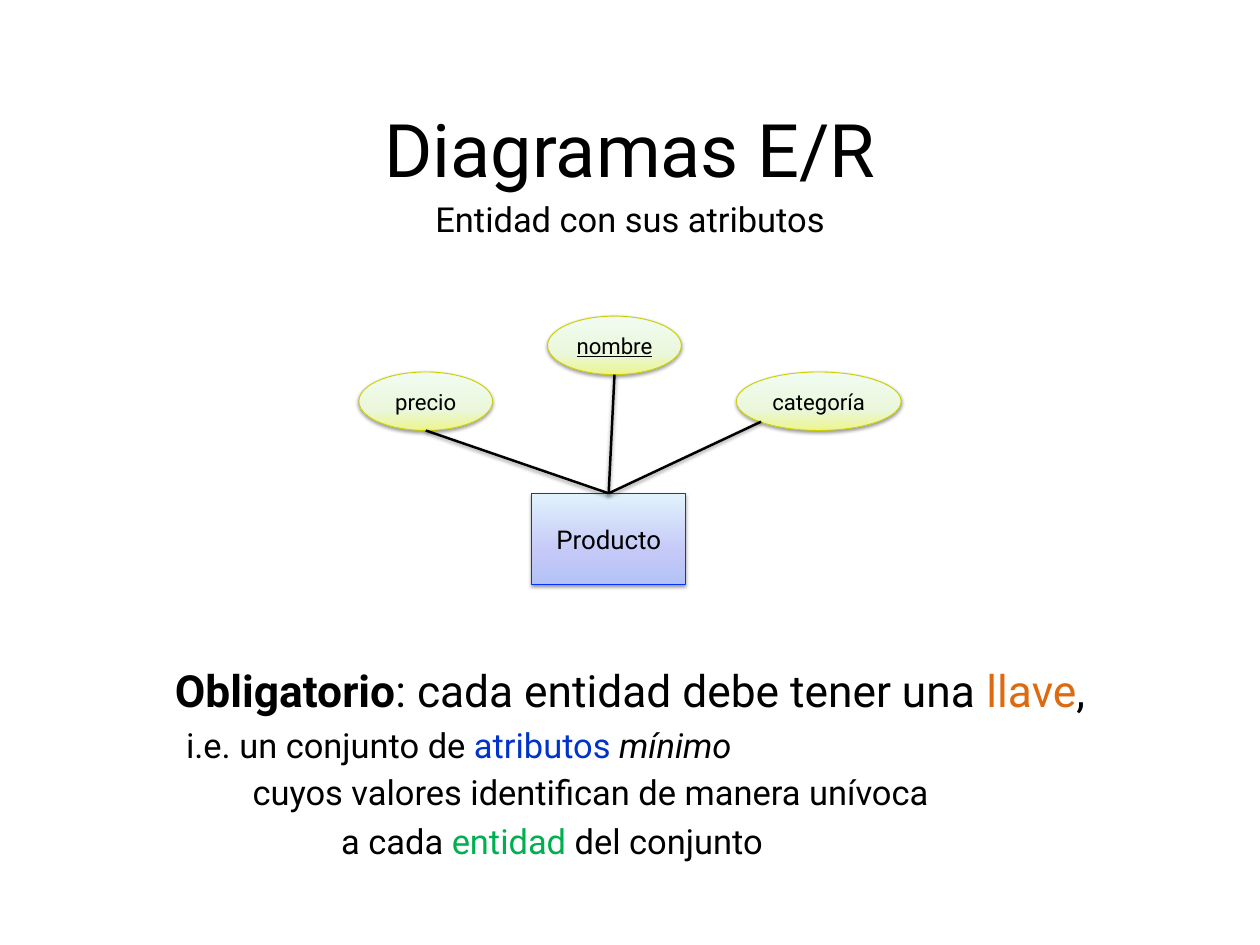
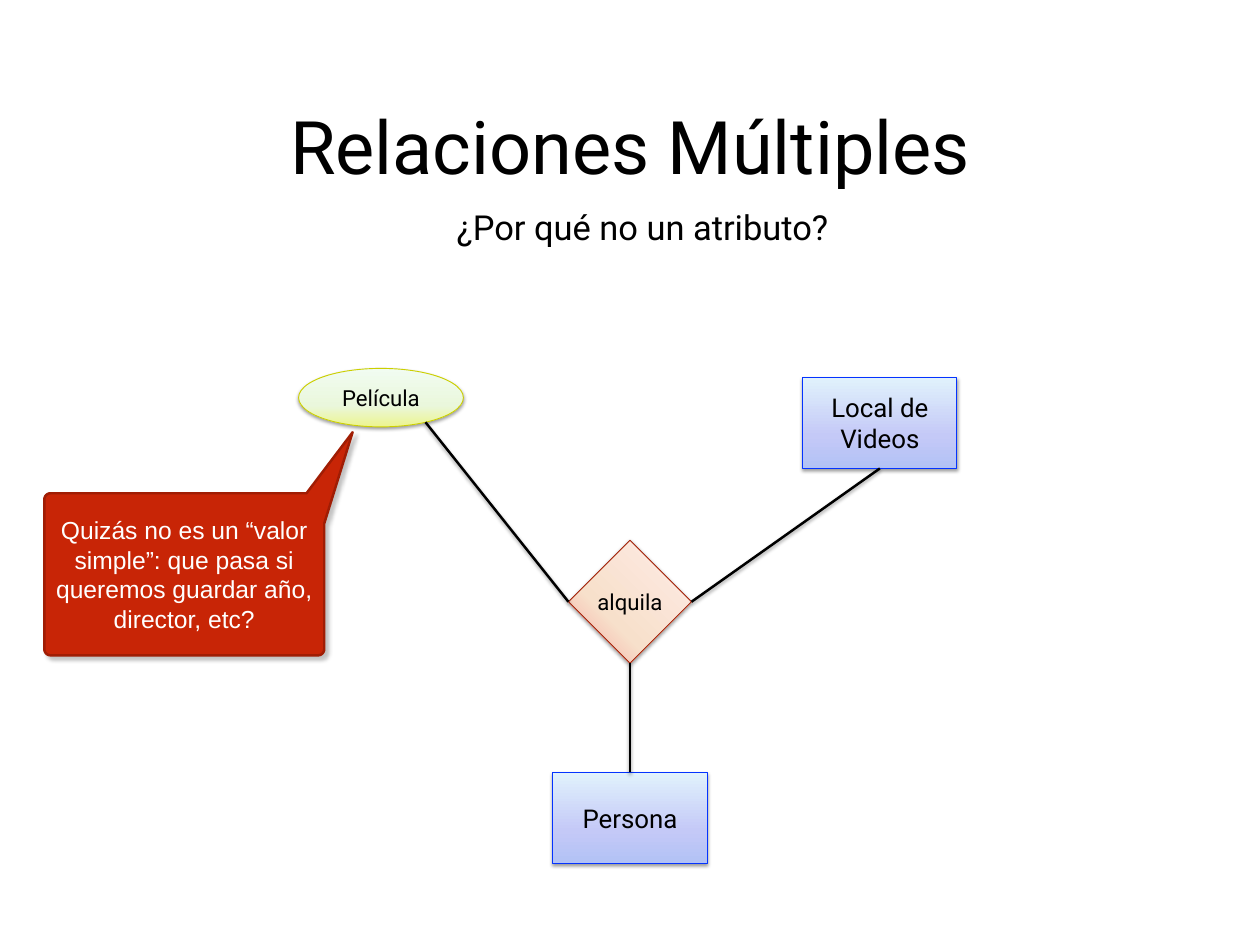
"""Build two slides on entity-relationship diagrams."""
import copy
import math

import pptx
import pptx.dml.color
import pptx.enum.shapes
import pptx.enum.text
import pptx.oxml
import pptx.oxml.ns
import pptx.util

SHAPES = pptx.enum.shapes.MSO_SHAPE
ALIGN = pptx.enum.text.PP_ALIGN


class Theme:
    font, callout_font = "Roboto", "Arial"
    black, white = "000000", "FFFFFF"
    orange, blue, green = "DE6A10", "0033CC", "00B050"
    callout_fill, callout_line = "C82506", "A01D04"
    title, lead, body, entity, callout, label = 60, 36, 28, 21, 20, 18
    inset = 0.06
    thin, thick = 0.75, 2
    soft_shadow = {"opacity": 38, "blur": 3, "distance": 1.6, "angle": 90}
    callout_shadow = {"opacity": 24, "blur": 3, "distance": 3.3, "angle": 44}
    kinds = {
        "entity": {"preset": SHAPES.RECTANGLE, "height": 9.65, "size": entity,
                   "line": "0433FF", "angle": 90,
                   "stops": [(0, "B2C2F5"), (0.36, "C4C9F7"), (1, "E1F2FC")]},
        "attribute": {"preset": SHAPES.OVAL, "height": 6.19, "size": label,
                      "line": "CCCF00", "angle": 90,
                      "stops": [(0, "ECF58E"), (0.36, "EAF7DC"), (1, "F1FCF1")]},
        "relation": {"preset": SHAPES.DIAMOND, "height": 13.03, "size": label,
                     "line": "A01D04", "angle": 45,
                     "stops": [(0, "F5A09A"), (0.35, "F7E0CB"), (1, "FFEBE7")]},
    }


def write(shape, paragraphs, base, insets=(0, 0, 0, 0), wrap=True):
    """Fill a shape with (paragraph format, runs) pairs, each run over the base font."""
    frame = shape.text_frame
    frame.word_wrap = wrap
    frame.vertical_anchor = pptx.enum.text.MSO_ANCHOR.MIDDLE
    for side, inset in zip(("left", "top", "right", "bottom"), insets):
        setattr(frame, f"margin_{side}", pptx.util.Inches(inset))
    for index, (layout, runs) in enumerate(paragraphs):
        paragraph = frame.add_paragraph() if index else frame.paragraphs[0]
        paragraph.alignment = layout.get("align", ALIGN.CENTER)
        if "space" in layout:
            paragraph.space_before = pptx.util.Pt(layout["space"])
        if "indent" in layout:
            properties = paragraph._p.get_or_add_pPr()
            properties.set("marL", str(pptx.util.Inches(layout["indent"])))
            properties.set("indent", "0")
        for text, changes in runs:
            run = paragraph.add_run()
            run.text = text
            values = {"name": Theme.font, "color": Theme.black, **base, **changes}
            run.font.color.rgb = pptx.dml.color.RGBColor.from_string(values.pop("color"))
            values["size"] = pptx.util.Pt(values["size"])
            for name, value in values.items():
                setattr(run.font, name, value)


def outline(shape, color, width, shadow):
    """Draw the line of a shape or connector and the shadow below it."""
    shape.line.color.rgb = pptx.dml.color.RGBColor.from_string(color)
    shape.line.width = pptx.util.Pt(width)
    shape.element.spPr.append(pptx.oxml.parse_xml(
        f'<a:effectLst {pptx.oxml.ns.nsdecls("a")}>'
        f'<a:outerShdw blurRad="{pptx.util.Pt(shadow["blur"])}" '
        f'dist="{pptx.util.Pt(shadow["distance"])}" '
        f'dir="{shadow["angle"] * 60000}" algn="b" rotWithShape="0">'
        f'<a:srgbClr val="{Theme.black}"><a:alpha val="{shadow["opacity"] * 1000}"/>'
        '</a:srgbClr></a:outerShdw></a:effectLst>'))


presentation = pptx.Presentation()
presentation.slide_width = pptx.util.Inches(14.22)
presentation.slide_height = pptx.util.Inches(10.67)
column = presentation.slide_width / 100
row = presentation.slide_height / 100

# fmt: off
pages = [
    {
        "headings": [("Diagramas E/R", Theme.title, 50, 10.5, 40.3, 10.22),
                     ("Entidad con sus atributos", Theme.body, 50, 20.43, 42.05, 5.34)],
        "nodes": [("Producto", "entity", 48.31, 57.03, 12.24),
                  ("nombre", "attribute", 48.77, 36.55, 10.62),
                  ("precio", "attribute", 33.79, 42.46, 10.62),
                  ("categoría", "attribute", 64.98, 42.46, 13.08)],
        "links": [("Producto", 0, "precio", (0.5, 1)),
                  ("Producto", 0, "nombre", (0.5, 1)),
                  ("Producto", 0, "categoría", (0.15, 0.85))],
    },
    {
        "headings": [("Relaciones Múltiples", Theme.title, 50, 10.22, 69.9, 10.22),
                     ("¿Por qué no un atributo?", Theme.body, 50.98, 21.28, 46.13, 5.34)],
        "nodes": [("alquila", "relation", 50, 63.68, 9.77),
                  ("Local de Videos", "entity", 69.83, 44.75, 12.24),
                  ("Persona", "entity", 50, 86.55, 12.24),
                  ("Película", "attribute", 30.24, 42.08, 13.08)],
        "links": [("alquila", 1, "Película", (0.77, 0.92)),
                  ("alquila", 3, "Local de Videos", 2),
                  ("alquila", 2, "Persona", 0)],
    },
]
# fmt: on

slides = []
for page in pages:
    slide = presentation.slides.add_slide(presentation.slide_layouts[6])
    slides.append(slide)
    for text, size, center, top, width, height in page["headings"]:
        box = slide.shapes.add_textbox(
            round((center - width / 2) * column), round(top * row),
            round(width * column), round(height * row))
        write(box, [({}, [(text, {})])], {"size": size}, (Theme.inset,) * 4)

    nodes = {}
    for text, kind, center, middle, width in page["nodes"]:
        style = Theme.kinds[kind]
        node = slide.shapes.add_shape(
            style["preset"],
            round((center - width / 2) * column),
            round((middle - style["height"] / 2) * row),
            round(width * column), round(style["height"] * row))
        nodes[text] = node
        node.fill.gradient()
        node.fill.gradient_angle = style["angle"]
        stop_list = node.element.spPr.find(".//" + pptx.oxml.ns.qn("a:gsLst"))
        stop_list.append(copy.deepcopy(stop_list[-1]))
        for stop, (position, color) in zip(node.fill.gradient_stops, style["stops"]):
            stop.position = position
            stop.color.rgb = pptx.dml.color.RGBColor.from_string(color)
        outline(node, style["line"], Theme.thin, Theme.soft_shadow)
        write(node, [({}, [(text, {"underline": text == "nombre"})])],
              {"size": style["size"]}, wrap=kind != "relation")

    for source, site, target, end in page["links"]:
        node = nodes[target]
        share_x, share_y = end if isinstance(end, tuple) else (0.5, 0.5)
        link = slide.shapes.add_connector(
            pptx.enum.shapes.MSO_CONNECTOR.STRAIGHT, 0, 0,
            round(node.left + share_x * node.width),
            round(node.top + share_y * node.height))
        link.begin_connect(nodes[source], site)
        if isinstance(end, int):
            link.end_connect(node, end)
        outline(link, Theme.black, Theme.thick, Theme.soft_shadow)

key_rule = slides[0].shapes.add_textbox(
    round(5.56 * column), round(69.45 * row), round(88.89 * column), round(22.4 * row))
write(key_rule, [
    ({}, [("Obligatorio", {"size": Theme.lead, "bold": True}),
          (": cada entidad debe tener una ", {"size": Theme.lead}),
          ("llave", {"size": Theme.lead, "color": Theme.orange}),
          (",", {"size": Theme.lead})]),
    ({"align": ALIGN.LEFT, "indent": 1.25, "space": 6},
     [("i.e. un conjunto de ", {}), ("atributos ", {"color": Theme.blue}),
      ("mínimo", {"italic": True})]),
    ({"align": ALIGN.LEFT, "indent": 2, "space": 5},
     [("cuyos valores identifican de manera unívoca", {})]),
    ({"align": ALIGN.LEFT, "indent": 3, "space": 6},
     [("a cada ", {}), ("entidad", {"color": Theme.green}), (" del conjunto", {})]),
], {"size": Theme.body}, (Theme.inset,) * 4)

left, top, right, bottom = 3.52, 52.2, 25.74, 69.35
radius_x, radius_y = 0.49, 0.66
tip = (27.99, 45.74)
points = [(24.33, top)]
for corner_x, corner_y, start_angle in (
        (left + radius_x, top + radius_y, 270),
        (left + radius_x, bottom - radius_y, 180),
        (right - radius_x, bottom - radius_y, 90)):
    for step in range(7):
        angle = math.radians(start_angle - 15 * step)
        points.append((corner_x + radius_x * math.cos(angle),
                       corner_y + radius_y * math.sin(angle)))
points.append((right, 55.39))
builder = slides[1].shapes.build_freeform(round(tip[0] * column), round(tip[1] * row))
builder.add_line_segments([(round(x * column), round(y * row)) for x, y in points])
callout = builder.convert_to_shape()
callout.fill.solid()
callout.fill.fore_color.rgb = pptx.dml.color.RGBColor.from_string(Theme.callout_fill)
outline(callout, Theme.callout_line, Theme.thick, Theme.callout_shadow)
write(callout,
      [({}, [("Quizás no es un “valor simple”: que pasa si queremos guardar año, "
              "director, etc?", {})])],
      {"size": Theme.callout, "name": Theme.callout_font, "color": Theme.white},
      (0, 0.69, 0.32, 0))

presentation.save("out.pptx")
